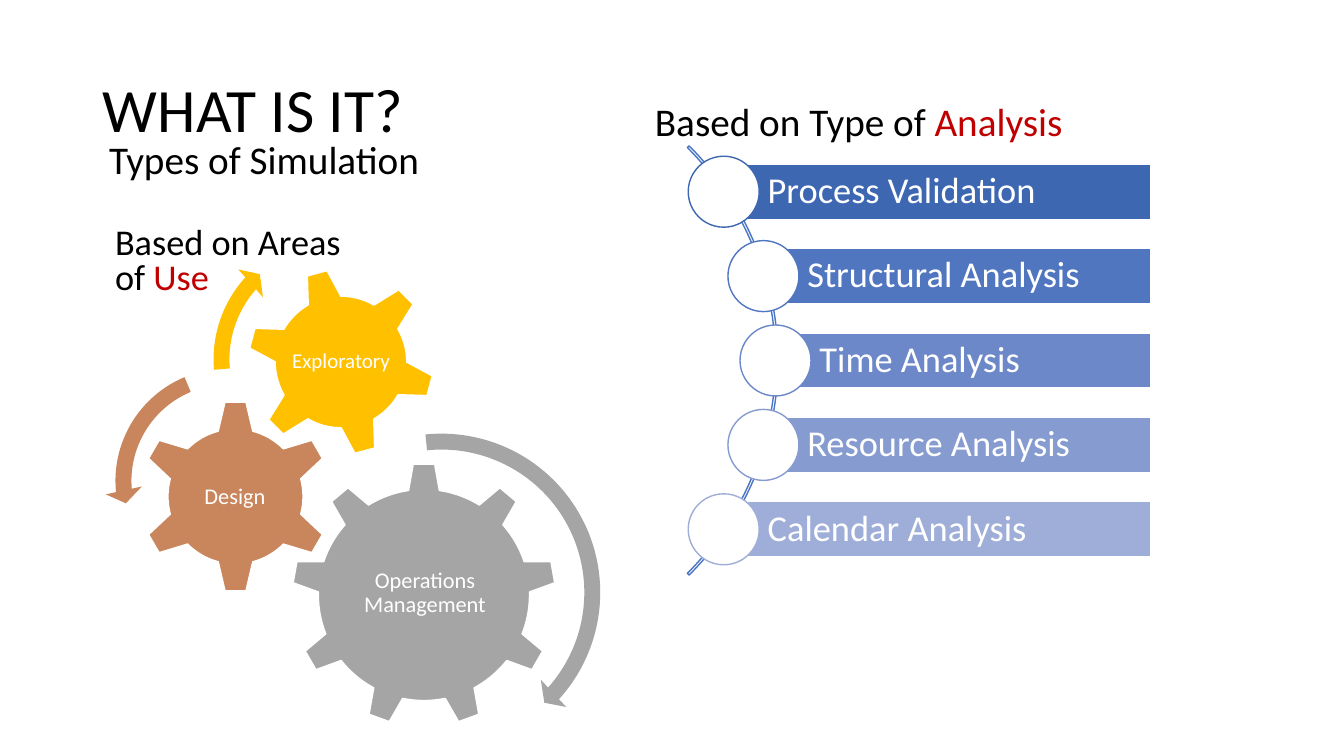
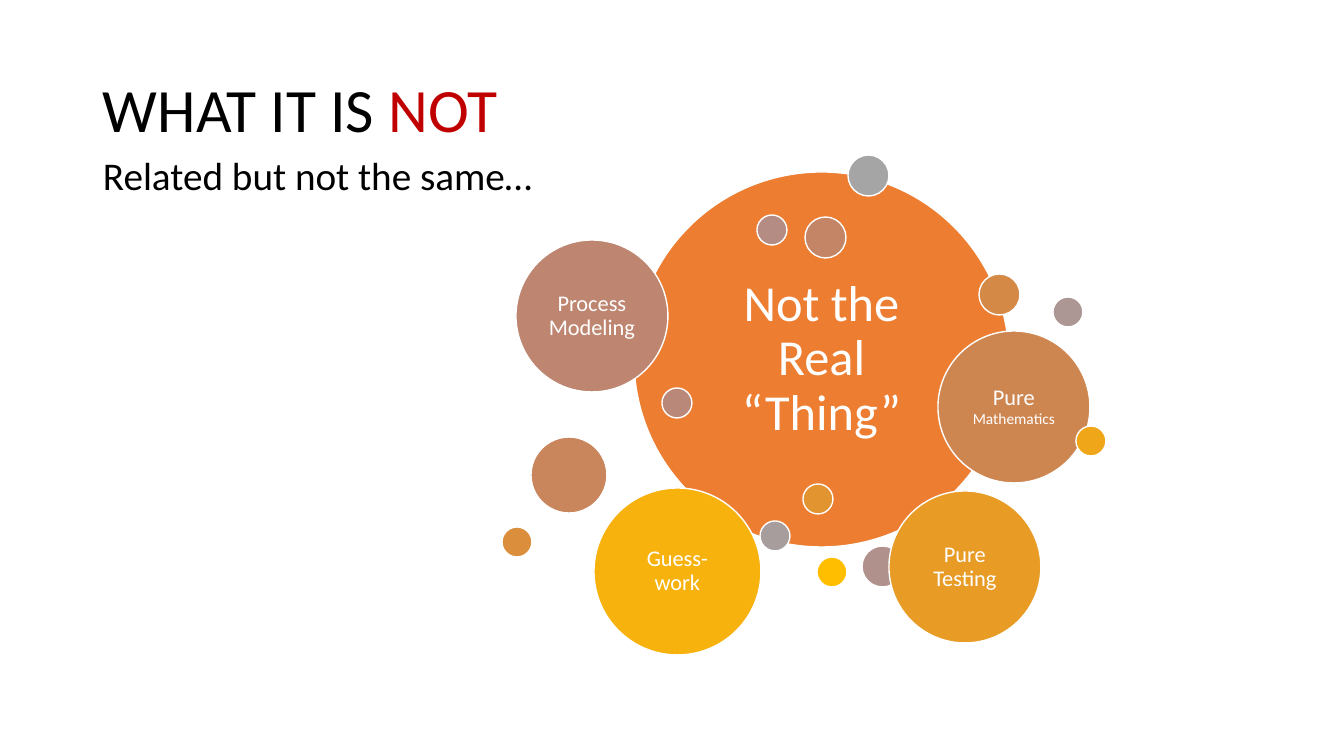
from colorsys import hls_to_rgb
from math import sqrt

from lxml.etree import SubElement
from pptx import Presentation
from pptx.dml.color import RGBColor
from pptx.enum.shapes import MSO_SHAPE
from pptx.enum.text import MSO_ANCHOR, PP_ALIGN
from pptx.oxml.ns import qn
from pptx.util import Emu, Pt

COLORS = {
    "text": "000000", "accent": "C00000", "white": "FFFFFF", "arc": "4A75C5",
    "grey": "A5A5A5", "clay": "C9865C", "gold": "FFC000", "orange": "ED7D31",
}
FONT = "Calibri"
SCALE = 914400 / 100.8
SLIDE_SIZE = (1344, 756)
TITLE_BOX = (93, 40, 1159, 146)

# Text pieces are (words, colour name).
TITLES = [
    [("WHAT IS IT?", "text")],
    [("WHAT IT IS ", "text"), ("NOT", "accent")],
]
# Headings: box, size, line spacing, pieces
TYPE_HEADINGS = [
    ((99, 136, 535, 76), 28, 0.9, [("Types of Simulation", "text")]),
    ((105, 223, 248, 81), 25.9, 0.8,
     [("Based on Areas of ", "text"), ("Use", "accent")]),
    ((645, 98, 504, 58), 28, 0.9,
     [("Based on Type of ", "text"), ("Analysis", "accent")]),
]
RELATED_HEADING = ((93, 152, 535, 480), 28, 0.9,
                   [("Related but not the same…", "text")])

ANALYSES = [
    ("Process Validation", "3E67B2"),
    ("Structural Analysis", "5176C0"),
    ("Time Analysis", "6C88C8"),
    ("Resource Analysis", "869BD0"),
    ("Calendar Analysis", "9FAED8"),
]
ARC_BOX = (171, 57, 607, 607)
ARC_ADJUST = (189, 27, 0.004)
DOT_ORBIT = 301
ROW_PITCH = 84.4
DOT_SIZE, BAR_HEIGHT, BAR_RIGHT = 71, 56, 1151

# Gears: label, size, colour, shape, box, rotation, label box
GEARS = [
    ("Operations Management", 16, "grey", MSO_SHAPE.GEAR_9,
     (292, 463, 264, 264), 0, (346, 525, 158, 136)),
    ("Design", 16, "clay", MSO_SHAPE.GEAR_6,
     (139, 400, 193, 193), 0, (187, 450, 96, 95)),
    ("Exploratory", 15, "gold", MSO_SHAPE.GEAR_6,
     (247, 268, 188, 188), 345, (288, 309, 106, 106)),
]
# Turning arrows: colour, shape, box, adjustments
TURNS = [
    ("grey", MSO_SHAPE.CIRCULAR_ARROW, (272, 423, 339, 339),
     (0.047, 2.99, 25.2, 158.531, 0.055)),
    ("clay", MSO_SHAPE.LEFT_CIRCULAR_ARROW, (105, 358, 246, 246),
     (0.065, 4.3, 104.891, 148.378, 0.075)),
    ("gold", MSO_SHAPE.CIRCULAR_ARROW, (203, 227, 265, 265),
     (0.06, 3.941, 133.138, 105.082, 0.07)),
]

CORE = ("Not the Real “Thing”", (634, 172, 375))
# Bubbles from grey to gold: left, top, diameter, label pieces (words, size)
BUBBLES = [
    (848, 155, 41, []),
    (760, 521, 30, []),
    (1053, 297, 30, []),
    (862, 546, 41, []),
    (757, 215, 30, []),
    (662, 388, 30, []),
    (516, 240, 152, [("Process Modeling", 16)]),
    (805, 217, 41, []),
    (531, 437, 76, []),
    (938, 331, 152, [("Pure ", 16), ("Mathematics", 11)]),
    (979, 274, 41, []),
    (502, 527, 30, []),
    (803, 484, 30, []),
    (889, 491, 152, [("Pure Testing", 16)]),
    (1076, 426, 30, []),
    (594, 488, 167, [("Guess-work", 16)]),
    (817, 557, 30, []),
]


def px(length):
    """Turn picture pixels into EMU."""
    return Emu(round(length * SCALE))


def rgb(color):
    """Look up a colour name, or read a hex string."""
    return RGBColor.from_string(COLORS.get(color, color))


def bubble_color(step):
    """Blend hue, lightness and saturation from grey to gold."""
    share = step / (len(BUBBLES) - 1)
    channels = hls_to_rgb(share * 45 / 360, 0.647 - 0.147 * share, share)
    return "".join(f"{round(channel * 255):02X}" for channel in channels)


def add_shape(slide, kind, box, fill=None, line=None, width=1, adjust=()):
    """Add a preset shape without shadow."""
    shape = slide.shapes.add_shape(kind, *map(px, box))
    shape.shadow.inherit = False
    if fill:
        shape.fill.solid()
        shape.fill.fore_color.rgb = rgb(fill)
    else:
        shape.fill.background()
    if line:
        shape.line.color.rgb = rgb(line)
        shape.line.width = Pt(width)
    else:
        shape.line.fill.background()
    for position, value in enumerate(adjust):
        shape.adjustments[position] = value
    return shape


def write(shape, pieces, size, align=PP_ALIGN.LEFT, anchor=MSO_ANCHOR.TOP,
          insets=(10, 5, 10, 5), spacing=0.9):
    """Write one wrapped paragraph of coloured pieces and return it."""
    frame = shape.text_frame
    frame.word_wrap = True
    frame.vertical_anchor = anchor
    (frame.margin_left, frame.margin_top,
     frame.margin_right, frame.margin_bottom) = map(px, insets)
    paragraph = frame.paragraphs[0]
    paragraph.alignment = align
    paragraph.line_spacing = spacing
    paragraph.font.name = FONT
    paragraph.font.size = Pt(size)
    for words, color in pieces:
        run = paragraph.add_run()
        run.text = words
        run.font.color.rgb = rgb(color)
    return paragraph


def write_centred(shape, pieces, size, inset):
    """Write white text in the middle of a shape."""
    return write(shape, pieces, size, PP_ALIGN.CENTER, MSO_ANCHOR.MIDDLE,
                 (inset,) * 4)


def add_text(slide, box):
    """Add an empty text box."""
    return slide.shapes.add_textbox(*map(px, box))


def add_heading(slide, box, size, spacing, pieces):
    """Add a heading in its own text box."""
    write(add_text(slide, box), pieces, size, spacing=spacing)


def add_titled_slide(deck, title):
    """Add a blank slide with the shared title style."""
    slide = deck.slides.add_slide(deck.slide_layouts[6])
    write(add_text(slide, TITLE_BOX), title, 44, anchor=MSO_ANCHOR.MIDDLE)
    return slide


def add_analyses(slide):
    """Place the analysis bars and dots along the arc."""
    add_shape(slide, MSO_SHAPE.BLOCK_ARC, ARC_BOX, line="arc",
              adjust=ARC_ADJUST)
    left, top, width, height = ARC_BOX
    center_x, center_y = left + width / 2, top + height / 2
    for row, (analysis, color) in enumerate(ANALYSES):
        rise = (row - (len(ANALYSES) - 1) / 2) * ROW_PITCH
        dot_x = center_x + sqrt(DOT_ORBIT ** 2 - rise ** 2)
        dot_y = center_y + rise
        bar = add_shape(slide, MSO_SHAPE.RECTANGLE,
                        (dot_x, dot_y - BAR_HEIGHT / 2,
                         BAR_RIGHT - dot_x, BAR_HEIGHT),
                        color, "white", 1.5)
        write(bar, [(analysis, "white")], 26, anchor=MSO_ANCHOR.MIDDLE,
              insets=(44, 7, 7, 7))
        add_shape(slide, MSO_SHAPE.OVAL,
                  (dot_x - DOT_SIZE / 2, dot_y - DOT_SIZE / 2,
                   DOT_SIZE, DOT_SIZE), "white", color)


def add_gears(slide):
    """Place the gears, their labels and the turning arrows."""
    for label, size, color, kind, box, rotation, label_box in GEARS:
        gear = add_shape(slide, kind, box, color, "white")
        gear.rotation = rotation
        write_centred(add_text(slide, label_box), [(label, "white")], size, 2)
    for color, kind, box, adjust in TURNS:
        add_shape(slide, kind, box, color, adjust=adjust)


def add_bubbles(slide):
    """Place the core circle and the bubbles around it."""
    label, (left, top, diameter) = CORE
    core = add_shape(slide, MSO_SHAPE.OVAL, (left, top, diameter, diameter),
                     "orange", "white")
    write_centred(core, [(label, "white")], 36, 15)
    for step, (left, top, diameter, pieces) in enumerate(BUBBLES):
        bubble = add_shape(slide, MSO_SHAPE.OVAL,
                           (left, top, diameter, diameter),
                           bubble_color(step), "white")
        if pieces:
            paragraph = write_centred(
                bubble, [(words, "white") for words, _ in pieces],
                pieces[0][1], 7)
            for run, (_, size) in zip(paragraph.runs[1:], pieces[1:]):
                run.font.size = Pt(size)


def main():
    """Build both slides and save the deck."""
    deck = Presentation()
    deck.slide_width, deck.slide_height = map(px, SLIDE_SIZE)

    what_it_is, what_it_is_not = [add_titled_slide(deck, title)
                                  for title in TITLES]
    add_analyses(what_it_is)
    add_gears(what_it_is)
    for heading in TYPE_HEADINGS:
        add_heading(what_it_is, *heading)

    add_heading(what_it_is_not, *RELATED_HEADING)
    add_bubbles(what_it_is_not)
    deck.save("out.pptx")


main()
